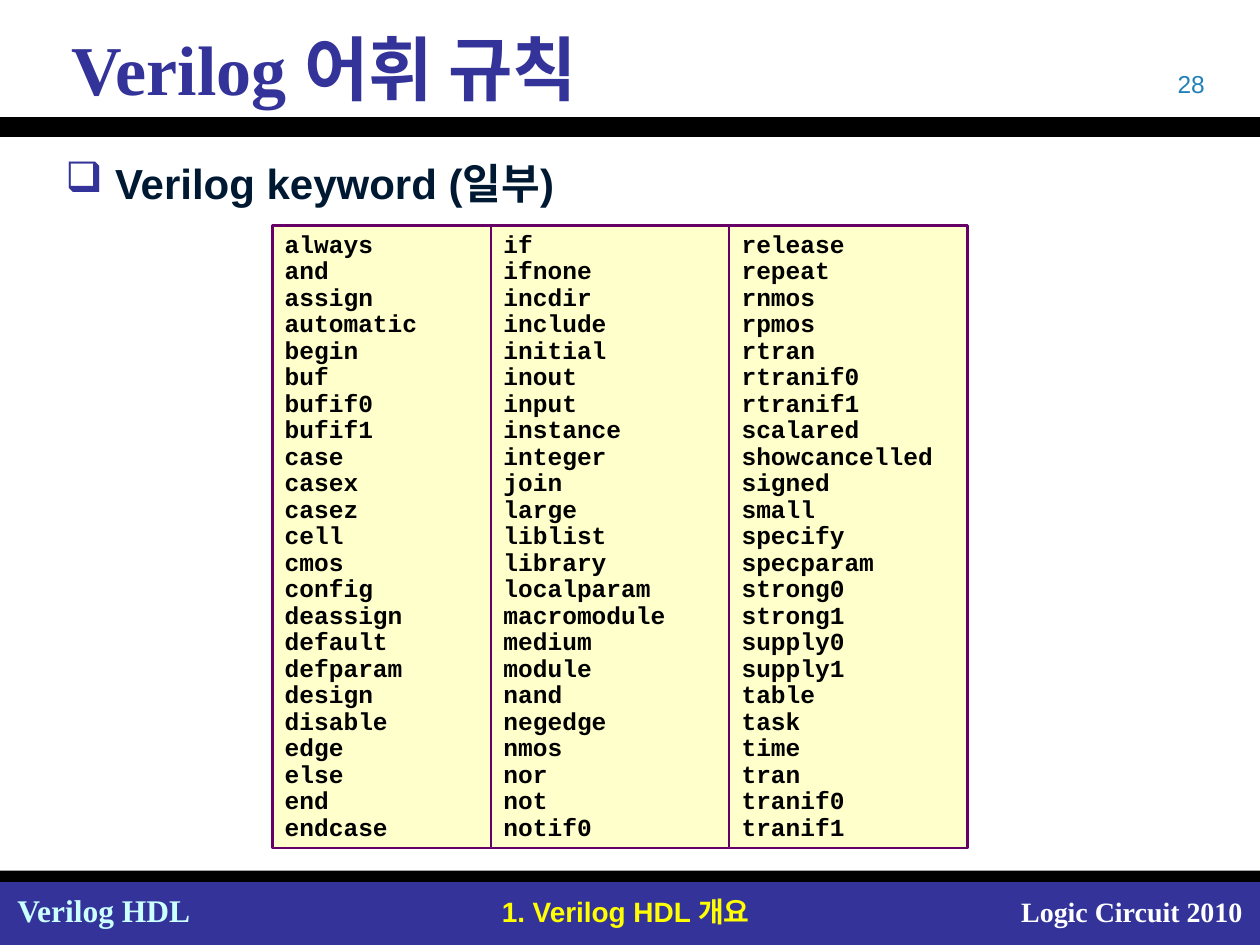
import itertools

import pptx
import pptx.dml.color
import pptx.enum.shapes
import pptx.enum.text
import pptx.oxml
import pptx.oxml.ns
import pptx.util

Cm = pptx.util.Cm
Pt = pptx.util.Pt
ALIGN = pptx.enum.text.PP_ALIGN
ANCHOR = pptx.enum.text.MSO_ANCHOR

COLORS = {
    "indigo": "333399", "black": "000000", "white": "FFFFFF", "yellow": "FFFF00",
    "ice": "CCFFFF", "blue": "2181B7", "navy": "001932", "cream": "FFFFCC", "plum": "660066",
}
FORMATS = {
    "title": {"name": "Times New Roman", "size": Pt(40), "bold": True, "color": "indigo"},
    "number": {"name": "Arial", "size": Pt(14), "bold": False, "color": "blue"},
    "heading": {"name": "Arial", "size": Pt(24), "bold": True, "color": "navy"},
    "keyword": {"name": "Courier New", "size": Pt(14), "bold": True, "color": "black"},
    "subject": {"name": "Times New Roman", "size": Pt(18), "bold": True, "color": "ice"},
    "chapter": {"name": "Arial", "size": Pt(16), "bold": True, "color": "yellow"},
    "course": {"name": "Times New Roman", "size": Pt(16), "bold": True, "color": "white"},
}
KEYWORDS = [
    """always and assign automatic begin buf bufif0 bufif1 case casex casez cell cmos config
    deassign default defparam design disable edge else end endcase""",
    """if ifnone incdir include initial inout input instance integer join large liblist library
    localparam macromodule medium module nand negedge nmos nor not notif0""",
    """release repeat rnmos rpmos rtran rtranif0 rtranif1 scalared showcancelled signed small
    specify specparam strong0 strong1 supply0 supply1 table task time tran tranif0 tranif1""",
]


def rgb(color):
    """Return the named colour as an RGBColor."""
    return pptx.dml.color.RGBColor.from_string(COLORS[color])


def write(shape, lines, style, align=ALIGN.LEFT, anchor=ANCHOR.TOP, spacing=None):
    """Fill a shape with one formatted paragraph per line."""
    frame = shape.text_frame
    frame.text = "\n".join(lines)
    frame.word_wrap = True
    frame.auto_size = pptx.enum.text.MSO_AUTO_SIZE.NONE
    frame.vertical_anchor = anchor
    for paragraph in frame.paragraphs:
        paragraph.alignment = align
        paragraph.line_spacing = spacing
        for run in paragraph.runs:
            for attribute, value in FORMATS[style].items():
                if attribute == "color":
                    run.font.color.rgb = rgb(value)
                else:
                    setattr(run.font, attribute, value)


def add_text(slide, box, text, style, align=ALIGN.LEFT, spacing=None):
    """Add a one-line text box."""
    label = slide.shapes.add_textbox(*map(Cm, box))
    write(label, [text], style, align, spacing=spacing)
    return label


def add_block(shapes, box, fill, line=None):
    """Add a flat rectangle, outlined when a line colour is given."""
    block = shapes.add_shape(pptx.enum.shapes.MSO_SHAPE.RECTANGLE, *map(Cm, box))
    block.shadow.inherit = False
    block.fill.solid()
    block.fill.fore_color.rgb = rgb(fill)
    if line:
        block.line.color.rgb = rgb(line)
        block.line.width = Pt(1.5)
    else:
        block.line.fill.background()
    return block


def add_header(slide, left, top, width):
    """Place the title, the slide number and the rule below them."""
    title = slide.shapes.title
    title.left, title.top = Cm(left + 0.43), Cm(top + 0.53)
    title.width, title.height = Cm(width - 0.84), Cm(1.65)
    write(title, ["Verilog 어휘 규칙"], "title", anchor=ANCHOR.MIDDLE)
    title.text_frame.paragraphs[0]._p.get_or_add_pPr().set("marL", str(Cm(0.76)))
    add_text(slide, (left + 18.62, top + 1.27, 5.92, 0.84), "28", "number", ALIGN.RIGHT)
    add_block(slide.shapes, (left, top + 2.36, width, 0.4), "black")


def add_heading(slide, box):
    """Place the bulleted heading."""
    heading = add_text(slide, box, "Verilog keyword (일부)", "heading", spacing=1.3)
    properties = heading.text_frame.paragraphs[0]._p.get_or_add_pPr()
    properties.set("marL", str(Cm(1)))
    properties.set("indent", str(-Cm(1)))
    namespace = pptx.oxml.ns.nsdecls("a")
    for bullet in (
        f'<a:buClr {namespace}><a:srgbClr val="{COLORS["indigo"]}"/></a:buClr>',
        f'<a:buChar {namespace} char="❑"/>',
    ):
        properties.append(pptx.oxml.parse_xml(bullet))


def add_keywords(slide, left, top, height):
    """Place the keyword columns side by side."""
    group = slide.shapes.add_group_shape()
    widths = [4.41, 4.8, 4.8]
    offsets = itertools.accumulate(widths, initial=0)
    for words, offset, width in zip(KEYWORDS, offsets, widths):
        column = add_block(group.shapes, (left + offset, top, width, height), "cream", "plum")
        write(column, words.split(), "keyword", anchor=ANCHOR.MIDDLE, spacing=0.9)


def add_footer(slide, left, top, width):
    """Place the footer band, its rule and its three labels."""
    add_block(slide.shapes, (left, top + 0.23, width, 1.27), "indigo")
    add_block(slide.shapes, (left, top, width, 0.23), "black")
    add_text(slide, (left + 0.1, top + 0.28, 4.4, 1.02), "Verilog HDL", "subject")
    add_text(slide, (left + 8.31, top + 0.36, 8.61, 0.94), "1. Verilog HDL 개요", "chapter",
             ALIGN.CENTER)
    add_text(slide, (left + 20.24, top + 0.36, 5.06, 0.94), "Logic Circuit 2010", "course",
             ALIGN.RIGHT)


def main():
    """Build and save the slide."""
    deck = pptx.Presentation()
    deck.slide_width, deck.slide_height = Cm(25.4), Cm(19.05)
    slide = deck.slides.add_slide(deck.slide_layouts[5])
    add_footer(slide, 0, 17.55, 25.4)
    add_header(slide, 0, 0, 25.4)
    add_keywords(slide, 5.49, 4.55, 12.55)
    add_heading(slide, (1.07, 2.74, 23.5, 1.57))
    deck.save("out.pptx")


if __name__ == "__main__":
    main()
